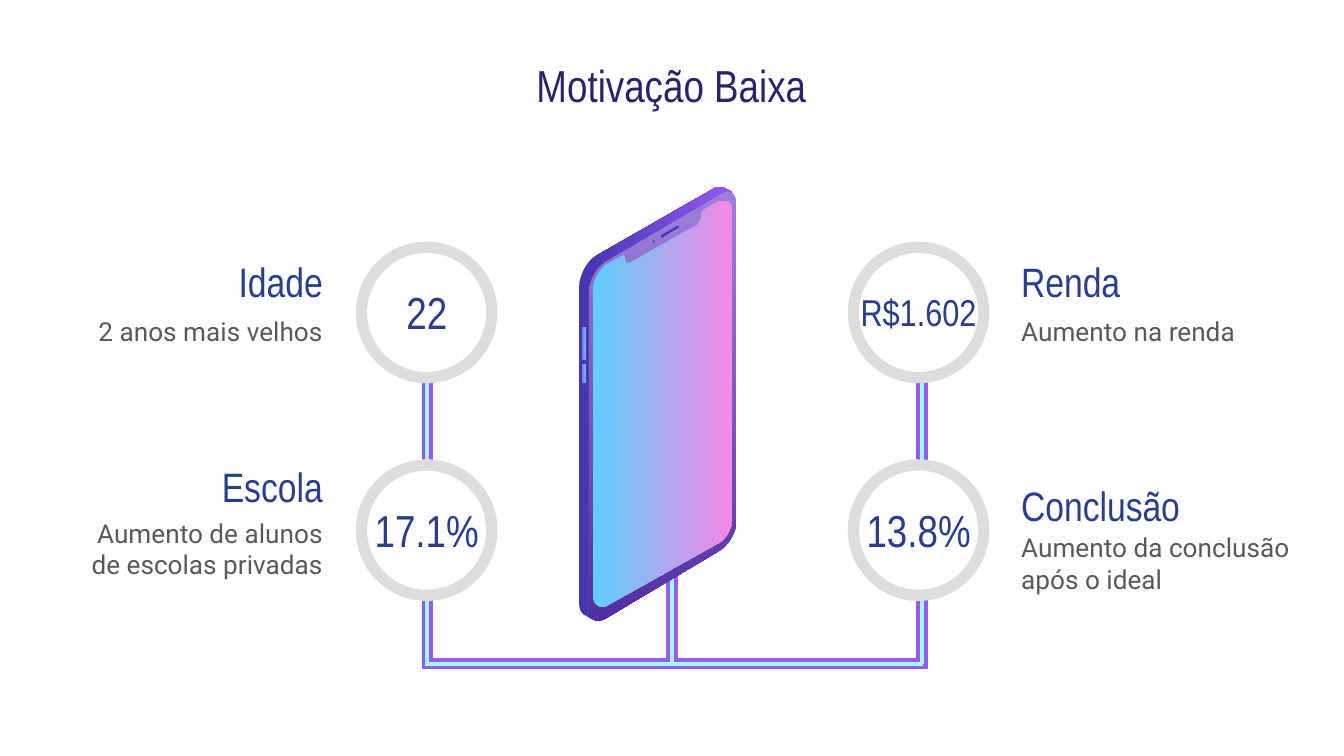
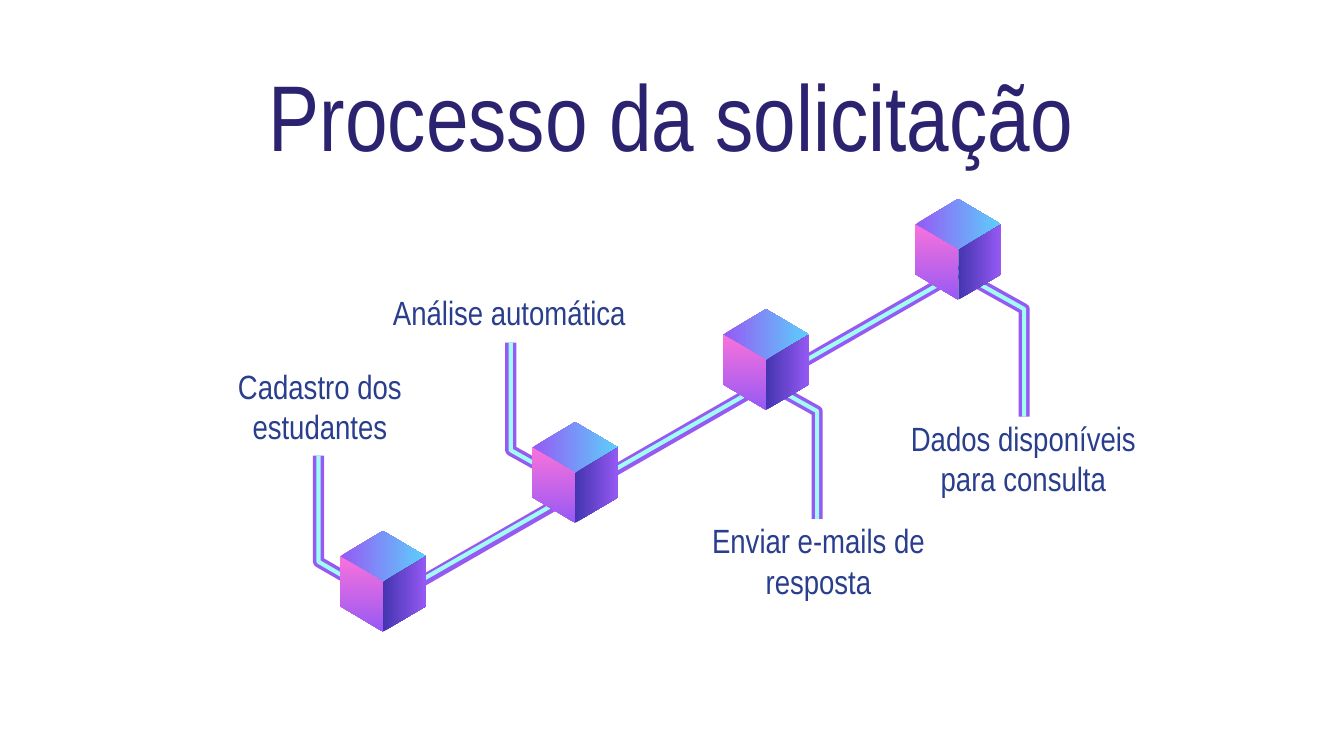
from dataclasses import dataclass
from typing import NamedTuple

from lxml.etree import SubElement
from pptx import Presentation
from pptx.dml.color import RGBColor
from pptx.enum.shapes import MSO_CONNECTOR as CONN, MSO_SHAPE as SHAPE
from pptx.enum.text import MSO_ANCHOR as ANCHOR, PP_ALIGN as ALIGN
from pptx.oxml.ns import qn
from pptx.util import Inches, Pt

COLORS = {
    "title": "2B2270", "heading": "293E8D", "body": "595959",
    "ring": "DDDDDD", "white": "FFFFFF", "violet": "9659F4",
    "mint": "A0FDF1", "sky": "5CCFFB", "pink": "FA72DC",
    "rose": "F587E6", "indigo": "4335AF", "lilac": "9D7FDB",
    "grape": "552FA1",
}
NARROW, ROBOTO = "Arial Narrow", "Roboto"
CURVE_STEPS = 8

Point = tuple[float, float]


class TextStyle(NamedTuple):
    font: str
    size: float
    color: str


class Gradient(NamedTuple):
    start: str
    end: str
    vertical: bool = False


class Track(NamedTuple):
    """One of the two strokes that make up a striped line."""
    color: str
    width: float


class Box(NamedTuple):
    left: float
    top: float
    width: float
    height: float


@dataclass
class Stat:
    value: str
    heading: str
    body: str
    ring: Point
    heading_box: Box
    body_box: Box
    align: ALIGN
    filled: bool = False
    size: float = 24


@dataclass
class Part:
    """A piece of the phone; a segment holds 2 numbers (line) or 6 (curve)."""
    fill: Gradient | str
    segments: list[tuple[float, ...]]


@dataclass
class Step:
    label: str
    label_box: Box
    cube: Point
    leader: list[Point]


OUTER, INNER = Track("violet", 6), Track("mint", 2.25)
HEADING = TextStyle(NARROW, 22, "heading")
BODY = TextStyle(ROBOTO, 14, "body")
STEP_LABEL = TextStyle(NARROW, 18, "heading")
RING_SIZE = 0.97
LEFT_X, RIGHT_X, UPPER_Y, LOWER_Y = 2.69, 6.35, 1.84, 3.46

STATS = [
    Stat("17.1%", "Escola", "Aumento de alunos de escolas privadas", (LEFT_X, LOWER_Y),
         Box(0.5, 3.48, 2, 0.28), Box(0.5, 3.84, 2, 0.48), ALIGN.RIGHT, True),
    Stat("13.8%", "Conclusão", "Aumento da conclusão após o ideal", (RIGHT_X, LOWER_Y),
         Box(7.5, 3.54, 2, 0.43), Box(7.5, 3.95, 2.24, 0.48), ALIGN.LEFT, True),
    Stat("22", "Idade", "2 anos mais velhos", (LEFT_X, UPPER_Y),
         Box(0.5, 1.95, 2, 0.28), Box(0.5, 2.22, 2, 0.48), ALIGN.RIGHT),
    Stat("R$1.602", "Renda", "Aumento na renda", (RIGHT_X, UPPER_Y),
         Box(7.5, 1.95, 2, 0.28), Box(7.5, 2.22, 2, 0.48), ALIGN.LEFT, size=20),
]

BUTTON = Gradient("violet", "sky")
PHONE = [
    Part(Gradient("lilac", "grape", True), [  # frame
        (5.41, 1.42), (5.39, 1.42, 5.37, 1.43, 5.35, 1.44), (4.51, 1.93),
        (4.43, 1.97, 4.38, 2.08, 4.38, 2.16), (4.38, 4.52),
        (4.38, 4.58, 4.41, 4.62, 4.45, 4.62), (4.47, 4.62, 4.49, 4.61, 4.51, 4.6),
        (5.35, 4.1), (5.42, 4.06, 5.48, 3.96, 5.48, 3.87), (5.48, 1.52),
        (5.48, 1.46, 5.45, 1.42, 5.41, 1.42)]),
    Part(Gradient("sky", "rose"), [  # screen
        (4.53, 1.96), (4.62, 1.91), (4.64, 1.9, 4.65, 1.9, 4.65, 1.92),
        (4.65, 1.95, 4.67, 1.97, 4.7, 1.95), (5.16, 1.69),
        (5.2, 1.68, 5.22, 1.63, 5.22, 1.6), (5.22, 1.58, 5.23, 1.57, 5.24, 1.56),
        (5.33, 1.51), (5.4, 1.47, 5.45, 1.5, 5.45, 1.58), (5.45, 3.85),
        (5.45, 3.93, 5.4, 4.02, 5.33, 4.05), (4.53, 4.5),
        (4.47, 4.54, 4.41, 4.5, 4.41, 4.43), (4.41, 2.16),
        (4.41, 2.08, 4.47, 1.99, 4.53, 1.96)]),
    Part(Gradient("indigo", "violet"), [  # side
        (5.36, 1.39), (5.34, 1.39, 5.32, 1.39, 5.3, 1.41), (4.44, 1.9),
        (4.37, 1.94, 4.31, 2.05, 4.31, 2.13), (4.31, 4.49),
        (4.31, 4.54, 4.33, 4.57, 4.36, 4.58), (4.41, 4.61),
        (4.39, 4.59, 4.38, 4.56, 4.38, 4.52), (4.38, 2.17),
        (4.38, 2.08, 4.44, 1.98, 4.51, 1.94), (5.36, 1.44),
        (5.38, 1.43, 5.4, 1.42, 5.42, 1.42), (5.43, 1.42, 5.44, 1.43, 5.45, 1.43),
        (5.39, 1.4), (5.38, 1.39, 5.37, 1.39, 5.36, 1.39)]),
    Part(BUTTON, [(4.33, 2.43), (4.36, 2.43), (4.36, 2.68), (4.33, 2.68)]),
    Part(BUTTON, [(4.33, 2.71), (4.36, 2.71), (4.36, 2.85), (4.33, 2.85)]),
    Part("indigo", [  # speaker
        (4.92, 1.77), (5.04, 1.7), (5.05, 1.7, 5.05, 1.69, 5.05, 1.69),
        (5.05, 1.68, 5.05, 1.68, 5.04, 1.68), (4.92, 1.75),
        (4.92, 1.75, 4.92, 1.76, 4.92, 1.77)]),
    Part("indigo", [  # camera
        (4.86, 1.8), (4.86, 1.81, 4.86, 1.81, 4.87, 1.81),
        (4.87, 1.8, 4.87, 1.8, 4.87, 1.79), (4.87, 1.78, 4.87, 1.78, 4.87, 1.78),
        (4.86, 1.79, 4.86, 1.79, 4.86, 1.8)]),
]

STEPS = [
    Step("Cadastro dos estudantes", Box(1.42, 2.88, 1.92, 0.28), (2.85, 4.33),
         [(2.89, 4.48), (2.37, 4.18), (2.37, 3.39)]),
    Step("Análise automática", Box(2.78, 2.18, 2.02, 0.28), (4.28, 3.52),
         [(4.32, 3.64), (3.8, 3.35), (3.8, 2.55)]),
    Step("Enviar e-mails de resposta", Box(5.13, 4.03, 1.92, 0.28), (5.7, 2.68),
         [(5.56, 2.77), (6.08, 3.06), (6.08, 3.86)]),
    Step("Dados disponíveis para consulta", Box(6.58, 3.27, 2.07, 0.28), (7.13, 1.86),
         [(7.1, 2.01), (7.62, 2.3), (7.62, 3.1)]),
]


def rgb(color: str) -> RGBColor:
    return RGBColor.from_string(COLORS[color])


def paint(sp, fill: Gradient | str | None = None, track: Track | None = None) -> None:
    sp.shadow.inherit = False
    if fill is None:
        sp.fill.background()
    elif isinstance(fill, Gradient):
        sp.fill.gradient()
        sp.fill.gradient_angle = 270 if fill.vertical else 0
        for stop, color in zip(sp.fill.gradient_stops, (fill.start, fill.end)):
            stop.color.rgb = rgb(color)
    else:
        sp.fill.solid()
        sp.fill.fore_color.rgb = rgb(fill)
    if track is None:
        sp.line.fill.background()
    else:
        stroke(sp, track)


def stroke(sp, track: Track) -> None:
    sp.line.color.rgb = rgb(track.color)
    sp.line.width = Pt(track.width)


def add_text(slide, text: str, box: Box, style: TextStyle, align: ALIGN = ALIGN.CENTER,
             anchor: ANCHOR = ANCHOR.MIDDLE) -> None:
    tf = slide.shapes.add_textbox(*map(Inches, box)).text_frame
    frame = {"word_wrap": True, "vertical_anchor": anchor}
    frame |= {f"margin_{side}": Inches(0.1) for side in ("left", "top", "right", "bottom")}
    for name, value in frame.items():
        setattr(tf, name, value)
    p = tf.paragraphs[0]
    p.alignment = align
    r = p.add_run()
    r.text = text
    for name, value in {"name": style.font, "size": Pt(style.size)}.items():
        setattr(r.font, name, value)
    r.font.color.rgb = rgb(style.color)


def add_title(slide, text: str, size: float) -> None:
    add_text(slide, text, Box(0.56, 0.33, 8.87, 0.56), TextStyle(NARROW, size, "title"),
             anchor=ANCHOR.TOP)


def add_line(slide, start: Point, end: Point, track: Track) -> None:
    line = slide.shapes.add_connector(CONN.STRAIGHT, *map(Inches, start + end))
    stroke(line, track)
    SubElement(line._element.spPr, qn("a:effectLst"))


def add_path(slide, points: list[Point], fill: Gradient | str | None = None,
             track: Track | None = None, close: bool = True) -> None:
    start, *rest = [(Inches(x), Inches(y)) for x, y in points]
    builder = slide.shapes.build_freeform(*start)
    builder.add_line_segments(rest, close=close)
    paint(builder.convert_to_shape(), fill, track)


def flatten(segments: list[tuple[float, ...]]) -> list[Point]:
    """Turn line and cubic curve segments into points."""
    points = []
    for segment in segments:
        if len(segment) == 2:
            points.append(segment)
            continue
        controls = (points[-1], segment[:2], segment[2:4], segment[4:])
        for i in range(1, CURVE_STEPS + 1):
            t = i / CURVE_STEPS
            weights = ((1 - t) ** 3, 3 * t * (1 - t) ** 2, 3 * t * t * (1 - t), t ** 3)
            points.append(tuple(sum(w * c[axis] for w, c in zip(weights, controls))
                                for axis in (0, 1)))
    return points


def add_stat(slide, stat: Stat) -> None:
    x, y = stat.ring
    add_text(slide, stat.heading, stat.heading_box, HEADING, stat.align)
    add_text(slide, stat.body, stat.body_box, BODY, stat.align)
    add_text(slide, stat.value, Box(x - 0.19, y + 0.34, 1.35, 0.28),
             TextStyle(NARROW, stat.size, "heading"))


def add_cube(slide, center: Point) -> None:
    x, y = center
    half, rise, side = 0.32, 0.19, 0.37
    left, right = (x - half, y - rise), (x + half, y - rise)
    base = (x, y + side)
    faces = [
        (Gradient("violet", "sky"), [center, left, (x, y - 2 * rise), right]),
        (Gradient("pink", "violet", True),
         [left, (x - half, y - rise + side), base, center]),
        (Gradient("indigo", "violet"),
         [right, center, base, (x + half, y - rise + side)]),
    ]
    for fill, points in faces:
        add_path(slide, points, fill)


def build_motivation(slide) -> None:
    add_title(slide, "Motivação Baixa", 24)
    rail_y = 4.94
    for track, foot, rail_end in ((OUTER, 4.98, 6.85), (INNER, rail_y, 6.87)):
        add_line(slide, (5, 4.04), (5, rail_y), track)
        for x in (3.18, 6.86):
            add_line(slide, (x, foot), (x, 2.81), track)
        add_line(slide, (3.16, rail_y), (rail_end, rail_y), track)
    for part in PHONE:
        add_path(slide, flatten(part.segments), part.fill)
    for stat in STATS:
        ring = slide.shapes.add_shape(
            SHAPE.OVAL, *map(Inches, (*stat.ring, RING_SIZE, RING_SIZE)))
        paint(ring, "white" if stat.filled else None, Track("ring", 6))
    for stat in STATS:
        add_stat(slide, stat)


def build_process(slide) -> None:
    for step in STEPS:
        for track in (OUTER, INNER):
            add_path(slide, step.leader, track=track, close=False)
    add_title(slide, "Processo da solicitação", 50)
    for track, foot_x in ((OUTER, 2.73), (INNER, 2.71)):
        add_line(slide, (7.1, 2.05), (foot_x, 4.56), track)
    for step in STEPS:
        add_cube(slide, step.cube)
        add_text(slide, step.label, step.label_box, STEP_LABEL)


def main() -> None:
    prs = Presentation()
    prs.slide_width = Inches(10)
    prs.slide_height = prs.slide_width * 9 // 16
    for build in (build_motivation, build_process):
        build(prs.slides.add_slide(prs.slide_layouts[6]))
    prs.save("out.pptx")


if __name__ == "__main__":
    main()
